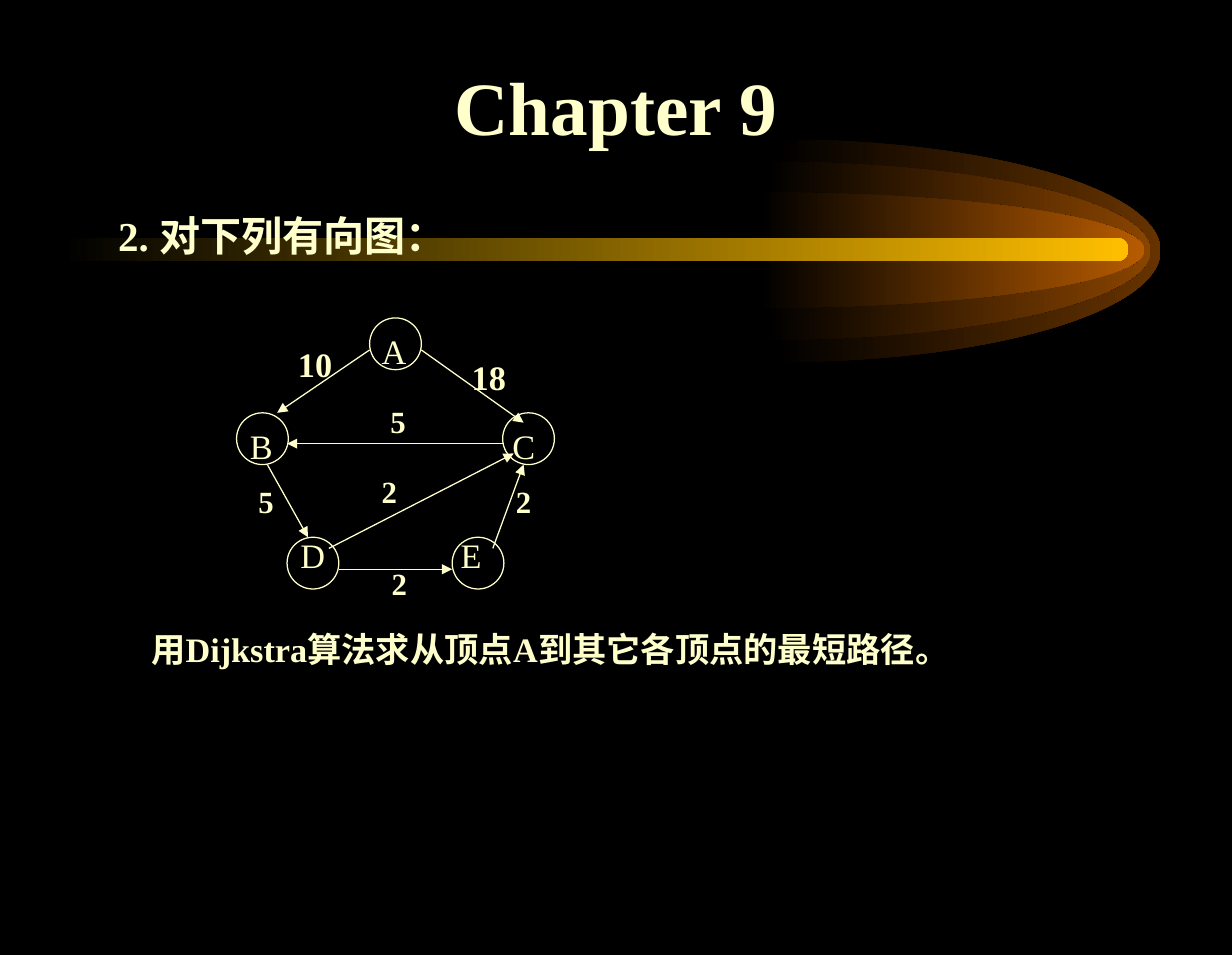
from lxml.etree import SubElement
from pptx import Presentation
from pptx.dml.color import RGBColor
from pptx.enum.shapes import MSO_CONNECTOR as CONN, MSO_SHAPE as SHAPE
from pptx.enum.text import MSO_ANCHOR as ANCHOR, PP_ALIGN as ALIGN
from pptx.oxml.ns import qn
from pptx.util import Inches, Pt

FONT = "Times New Roman"
COLORS = {
    "bg": "000000",
    "ink": "FFFFCC",
    "outer": "663300",
    "middle": "894400",
    "inner": "B75B00",
    "beam": "FFBF00",
}
NODE = 0.42

# Left, top, height, colour
GLOWS = [
    (6.29, 1.13, 1.81, "outer"),
    (6.21, 1.31, 1.45, "middle"),
    (6.16, 1.56, 0.94, "inner"),
]
GLOW_WIDTH = 3.13
ARC = 0.55  # reach of a quarter arc's handles, as a share of the radius

# Text, tab stops, space before, size, bold
BODY = [
    ("\t2. 对下列有向图：", [0.11], 0, 24, True),
    ("\tA", [2.25], 41, 20, False),
    ("\tB\tC", [1.18, 3.31], 31.5, 20, False),
    ("\tD\tE", [1.59, 2.89], 40, 20, False),
    ("\t用Dijkstra算法求从顶点A到其它各顶点的最短路径。", [0.38], 30.5, 20, True),
]

# Left and top of the circles A to E
NODES = [(3, 2.58), (1.92, 3.35), (4.08, 3.35), (2.33, 4.36), (3.67, 4.36)]

# Start, end, weight, weight's left and top
EDGES = [
    ((3, 2.84), (2.25, 3.35), "10", 2.32, 2.74),
    ((3.42, 2.84), (4.25, 3.43), "18", 3.73, 2.84),
    ((4.08, 3.6), (2.33, 3.6), "5", 3.07, 3.22),
    ((2.67, 4.45), (4.17, 3.68), "2", 3, 3.79),
    ((4, 4.45), (4.25, 3.77), "2", 4.09, 3.87),
    ((2.75, 4.62), (3.67, 4.62), "2", 3.08, 4.53),
    ((2.17, 3.77), (2.5, 4.36), "5", 2, 3.87),
]


def rgb(name):
    return RGBColor.from_string(COLORS[name])


def fade(sp, name):
    """Fill from the background colour on the left to the named one."""
    sp.shadow.inherit = False
    sp.line.fill.background()
    sp.fill.gradient()
    sp.fill.gradient_angle = 0
    for stop, color in zip(sp.fill.gradient_stops, ("bg", name)):
        stop.color.rgb = rgb(color)


def bend(segment, points):
    """Turn a straight segment into a cubic curve."""
    segment.clear()
    segment.tag = qn("a:cubicBezTo")
    for x, y in points:
        SubElement(segment, qn("a:pt"), x=str(int(x)), y=str(int(y)))


def add_glow(s, left, top, height, name):
    """Add the right half of an ellipse."""
    w, h, r = Inches(GLOW_WIDTH), Inches(height), Inches(height) // 2
    x, y = Inches(left), Inches(top)
    builder = s.shapes.build_freeform(x, y)
    builder.add_line_segments([(x + w, y + r), (x, y + h)], close=True)
    sp = builder.convert_to_shape()
    upper, lower = list(sp._element.iter(qn("a:lnTo")))[:2]
    bend(upper, [(w * ARC, 0), (w, r * (1 - ARC)), (w, r)])
    bend(lower, [(w, r * (1 + ARC)), (w * ARC, h), (0, h)])
    fade(sp, name)


def add_beam(s):
    sp = s.shapes.add_shape(SHAPE.ROUNDED_RECTANGLE, Inches(0.5), Inches(1.93),
                            Inches(8.66), Inches(0.19))
    sp.adjustments[0] = 0.5
    fade(sp, "beam")


def add_box(s, left, top, width, height, wrap=True):
    tf = s.shapes.add_textbox(Inches(left), Inches(top), Inches(width),
                              Inches(height)).text_frame
    tf.word_wrap = wrap
    return tf


def add_run(p, text, size, bold=True):
    r = p.add_run()
    r.text = text
    r.font.name = FONT
    r.font.size = Pt(size)
    r.font.bold = bold
    r.font.color.rgb = rgb("ink")


def add_title(s):
    tf = add_box(s, 0.75, 0.43, 8.5, 0.84)
    tf.vertical_anchor = ANCHOR.BOTTOM
    p = tf.paragraphs[0]
    p.alignment = ALIGN.CENTER
    add_run(p, "Chapter 9", 44)


def add_body(s):
    tf = add_box(s, 0.75, 1.61, 8.5, 5.37)
    tf.margin_top = Inches(0.1)
    for i, (text, stops, before, size, bold) in enumerate(BODY):
        p = tf.add_paragraph() if i else tf.paragraphs[0]
        p.space_before = Pt(before)
        tabs = SubElement(p._p.get_or_add_pPr(), qn("a:tabLst"))
        for stop in stops:
            SubElement(tabs, qn("a:tab"), pos=str(Inches(stop)), algn="l")
        add_run(p, text, size, bold)


def add_node(s, left, top):
    sp = s.shapes.add_shape(SHAPE.OVAL, Inches(left), Inches(top),
                            Inches(NODE), Inches(NODE))
    sp.shadow.inherit = False
    sp.fill.background()
    sp.line.color.rgb = rgb("ink")
    sp.line.width = Pt(0.75)


def add_arrow(s, start, end):
    points = [Inches(v) for v in (*start, *end)]
    line = s.shapes.add_connector(CONN.STRAIGHT, *points)
    line.line.color.rgb = rgb("ink")
    line.line.width = Pt(0.75)
    SubElement(line.line._get_or_add_ln(), qn("a:tailEnd"), type="triangle")
    SubElement(line._element.spPr, qn("a:effectLst"))


def add_weight(s, text, left, top):
    wide = len(text) > 1
    width, height, size = (0.68, 0.43, 20) if wide else (0.33, 0.4, 18)
    tf = add_box(s, left, top, width, height, wrap=wide)
    add_run(tf.paragraphs[0], text, size)


def main():
    prs = Presentation()
    prs.slide_width, prs.slide_height = Inches(10), Inches(7.75)
    s = prs.slides.add_slide(prs.slide_layouts[6])
    s.background.fill.solid()
    s.background.fill.fore_color.rgb = rgb("bg")

    for glow in GLOWS:
        add_glow(s, *glow)
    add_beam(s)
    add_title(s)
    add_body(s)
    for node in NODES:
        add_node(s, *node)
    for start, end, *_ in EDGES:
        add_arrow(s, start, end)
    for _, _, weight, left, top in EDGES:
        add_weight(s, weight, left, top)

    prs.save("out.pptx")


if __name__ == "__main__":
    main()
